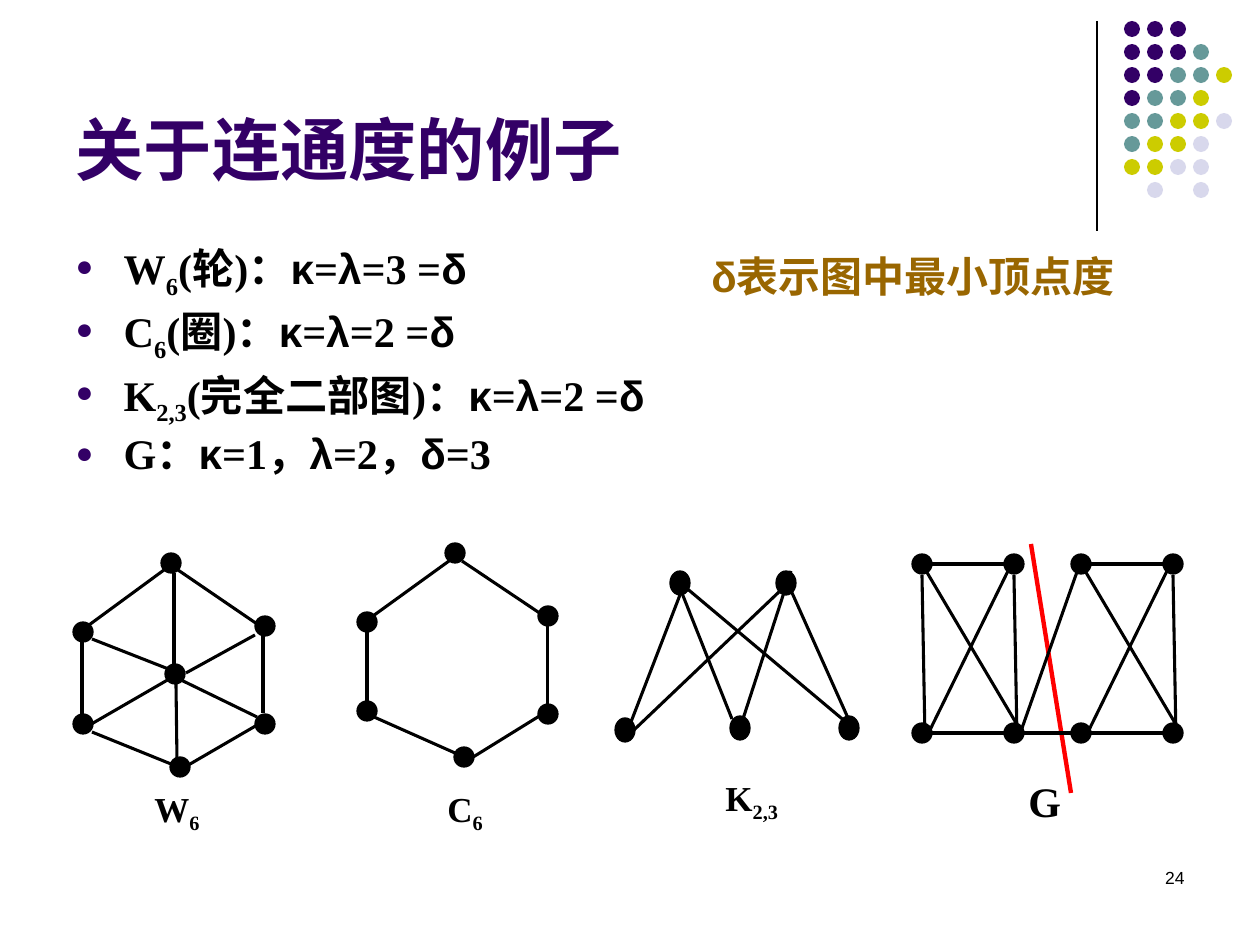
import itertools
from dataclasses import dataclass

import lxml.etree
import pptx
import pptx.dml.color
import pptx.enum.shapes
import pptx.enum.text
import pptx.oxml.ns
import pptx.util

SHAPE = pptx.enum.shapes.MSO_SHAPE
ALIGN = pptx.enum.text.PP_ALIGN
ANCHOR = pptx.enum.text.MSO_ANCHOR
PX_PER_INCH = 126


def px(length):
    return pptx.util.Emu(round(length * 914400 / PX_PER_INCH))


def rgb(value):
    return pptx.dml.color.RGBColor.from_string(value)


@dataclass(frozen=True)
class Theme:
    ink: str = "000000"
    purple: str = "330066"
    teal: str = "669999"
    olive: str = "CCCC00"
    lavender: str = "D8D8EC"
    brown: str = "996600"
    red: str = "FF0000"
    sans: str = "Arial"
    serif: str = "Times New Roman"
    title_size: float = 39
    body_size: float = 24.1
    note_size: float = 24
    label_size: float = 20
    number_size: float = 10
    rule_width: float = 0.75
    edge_width: float = 1.75
    cut_width: float = 2.5


class SlideBuilder:
    def __init__(self, slide, theme):
        self.slide = slide
        self.theme = theme
        self.shapes = slide.shapes

    def group(self):
        self.shapes = self.slide.shapes.add_group_shape().shapes

    def ungroup(self):
        self.shapes = self.slide.shapes

    def place(self, shape, box):
        for name, value in zip(("left", "top", "width", "height"), box):
            setattr(shape, name, px(value))

    def add_runs(self, paragraph, parts, size, color, font, bold=True):
        for index, part in enumerate(parts):
            for greek, letters in itertools.groupby(part, lambda letter: letter in "κλδ"):
                run = paragraph.add_run()
                run.text = "".join(letters)
                values = {"size": pptx.util.Pt(size), "bold": bold,
                          "name": self.theme.sans if greek else font}
                for name, value in values.items():
                    setattr(run.font, name, value)
                run.font.color.rgb = rgb(color)
                if index == 1:
                    run.font._element.set("baseline", "-25000")

    def frame(self, shape, anchor=ANCHOR.TOP):
        values = {"word_wrap": True, "vertical_anchor": anchor,
                  "auto_size": pptx.enum.text.MSO_AUTO_SIZE.NONE}
        for name, value in values.items():
            setattr(shape.text_frame, name, value)
        return shape.text_frame

    def title(self, text, box):
        shape = self.slide.shapes.title
        self.place(shape, box)
        paragraph = self.frame(shape, ANCHOR.BOTTOM).paragraphs[0]
        paragraph.alignment = ALIGN.LEFT
        self.add_runs(paragraph, [text], self.theme.title_size, self.theme.purple,
                      self.theme.sans)

    def bullet(self, paragraph):
        properties = paragraph._p.get_or_add_pPr()
        indent = px(48)
        properties.set("marL", str(indent))
        properties.set("indent", str(-indent))
        qn = pptx.oxml.ns.qn
        color = lxml.etree.SubElement(properties, qn("a:buClr"))
        lxml.etree.SubElement(color, qn("a:srgbClr"), val=self.theme.purple)
        lxml.etree.SubElement(properties, qn("a:buSzPct"), val="70000")
        lxml.etree.SubElement(properties, qn("a:buFont"), typeface=self.theme.sans)
        lxml.etree.SubElement(properties, qn("a:buChar"), char="●")

    def bullets(self, items, box):
        shape = self.slide.placeholders[1]
        self.place(shape, box)
        frame = self.frame(shape)
        for index, parts in enumerate(items):
            paragraph = frame.add_paragraph() if index else frame.paragraphs[0]
            self.bullet(paragraph)
            values = {"line_spacing": 0.9, "space_before": pptx.util.Pt(6.5 if index else 0)}
            for name, value in values.items():
                setattr(paragraph, name, value)
            self.add_runs(paragraph, parts, self.theme.body_size, self.theme.ink,
                          self.theme.serif)

    def text(self, parts, box, size, color, font, align=ALIGN.LEFT, bold=True, geometry=None):
        lengths = [px(value) for value in box]
        if geometry:
            shape = self.shapes.add_shape(geometry, *lengths)
            shape.shadow.inherit = False
            shape.fill.background()
            shape.line.fill.background()
        else:
            shape = self.shapes.add_textbox(*lengths)
        paragraph = self.frame(shape).paragraphs[0]
        paragraph.alignment = align
        self.add_runs(paragraph, parts, size, color, font, bold)
        return shape

    def dot(self, box, color, geometry=SHAPE.OVAL, outlined=False):
        shape = self.shapes.add_shape(geometry, *[px(value) for value in box])
        shape.shadow.inherit = False
        shape.fill.solid()
        shape.fill.fore_color.rgb = rgb(color)
        if outlined:
            shape.line.color.rgb = rgb(color)
            shape.line.width = pptx.util.Pt(self.theme.rule_width)
        else:
            shape.line.fill.background()

    def line(self, ends, color, width):
        kind = pptx.enum.shapes.MSO_CONNECTOR.STRAIGHT
        connector = self.shapes.add_connector(kind, *[px(value) for value in ends])
        connector.line.color.rgb = rgb(color)
        connector.line.width = pptx.util.Pt(width)
        lxml.etree.SubElement(connector._element.spPr, pptx.oxml.ns.qn("a:effectLst"))

    def graph(self, vertices, edges, vertex_size=(20, 20)):
        for ends in edges:
            self.line(ends, self.theme.ink, self.theme.edge_width)
        for corner in vertices:
            self.dot((*corner, *vertex_size), self.theme.ink, SHAPE.FLOWCHART_CONNECTOR, True)

    def label(self, parts, left, top):
        self.text(parts, (left, top, 93, 77), self.theme.label_size, self.theme.ink,
                  self.theme.serif, ALIGN.JUSTIFY)


def draw_ornament(builder):
    theme = builder.theme
    builder.line((1097, 21, 1097, 231), theme.ink, theme.rule_width)
    colors = {"P": theme.purple, "T": theme.teal, "Y": theme.olive, "L": theme.lavender}
    rows = ["PPP", "PPPT", "PPTTY", "PTTY", "TTYYL", "TYYL", "YYLL", "-L-L"]
    builder.group()
    for row, keys in enumerate(rows):
        for column, key in enumerate(keys):
            if key in colors:
                builder.dot((1124 + 23 * column, 21 + 23 * row, 16, 16), colors[key])


def draw_bipartite(builder):
    builder.group()
    builder.graph(
        [(670, 571), (776, 571), (615, 718), (730, 716), (839, 716)],
        [(684, 586, 853, 728), (680, 588, 732, 719), (789, 586, 848, 718),
         (743, 719, 791, 571), (680, 595, 631, 722), (779, 592, 634, 730)],
        (20, 24))
    builder.label(("K", "2,3"), 713, 770)


def draw_cut_graph(builder):
    theme = builder.theme
    builder.group()
    builder.line((1031, 544, 1071, 793), theme.red, theme.cut_width)
    half = [(932, 564, 1012, 564), (1017, 736, 1014, 575), (930, 730, 1008, 571),
            (1022, 733, 922, 564), (932, 733, 1012, 733)]
    edges = [(x1 + shift, y1, x2 + shift, y2)
             for shift in (0, 159) for x1, y1, x2, y2 in half]
    edges += [(925, 736, 922, 575), (1091, 733, 1022, 733), (1021, 731, 1077, 572)]
    builder.graph(itertools.product((912, 1004, 1071, 1163), (554, 723)), edges)
    callout = builder.text(["G"], (1016, 769, 100, 69), theme.note_size, theme.ink,
                           theme.serif, geometry=SHAPE.RECTANGULAR_CALLOUT)
    callout.adjustments[0], callout.adjustments[1] = -0.21, 0.63


def draw_cycle(builder):
    builder.group()
    builder.graph(
        [(445, 543), (357, 612), (357, 701), (454, 747), (538, 704), (538, 606)],
        [(374, 717, 455, 753), (373, 616, 449, 561), (462, 561, 544, 616),
         (367, 621, 367, 701), (548, 625, 548, 704), (470, 759, 554, 707)])
    builder.label(("C", "6"), 435, 781)


def draw_wheel(builder):
    rim = [(92, 732, 171, 764), (89, 625, 164, 570), (178, 570, 260, 626),
           (82, 635, 82, 714), (263, 634, 263, 713), (185, 767, 271, 717)]
    spokes = [(88, 726, 171, 678), (92, 639, 171, 670), (174, 573, 174, 680),
              (181, 680, 257, 717), (176, 682, 177, 760), (186, 673, 255, 635)]
    builder.group()
    builder.graph([(161, 553), (73, 622), (73, 714), (170, 757), (255, 714), (255, 616),
                   (165, 664)], rim + spokes)
    builder.label(("W", "6"), 142, 781)


def main():
    presentation = pptx.Presentation()
    presentation.slide_width, presentation.slide_height = px(1260), px(945)
    slide = presentation.slides.add_slide(presentation.slide_layouts[1])
    theme = Theme()
    builder = SlideBuilder(slide, theme)
    draw_ornament(builder)
    builder.title("关于连通度的例子", (63, 16, 1040, 179))
    builder.bullets([("W", "6", "(轮)：κ=λ=3 =δ"), ("C", "6", "(圈)：κ=λ=2 =δ"),
                     ("K", "2,3", "(完全二部图)：κ=λ=2 =δ"), ("G：κ=1，λ=2，δ=3",)],
                    (63, 237, 1134, 275))
    builder.ungroup()
    builder.text(["δ表示图中最小顶点度"], (699, 244, 437, 63), theme.note_size,
                 theme.brown, theme.serif)
    for draw in (draw_bipartite, draw_cut_graph, draw_cycle, draw_wheel):
        draw(builder)
    builder.ungroup()
    builder.text(["24"], (903, 861, 294, 63), theme.number_size, theme.ink, theme.sans,
                 ALIGN.RIGHT, bold=False)
    presentation.save("out.pptx")


if __name__ == "__main__":
    main()
